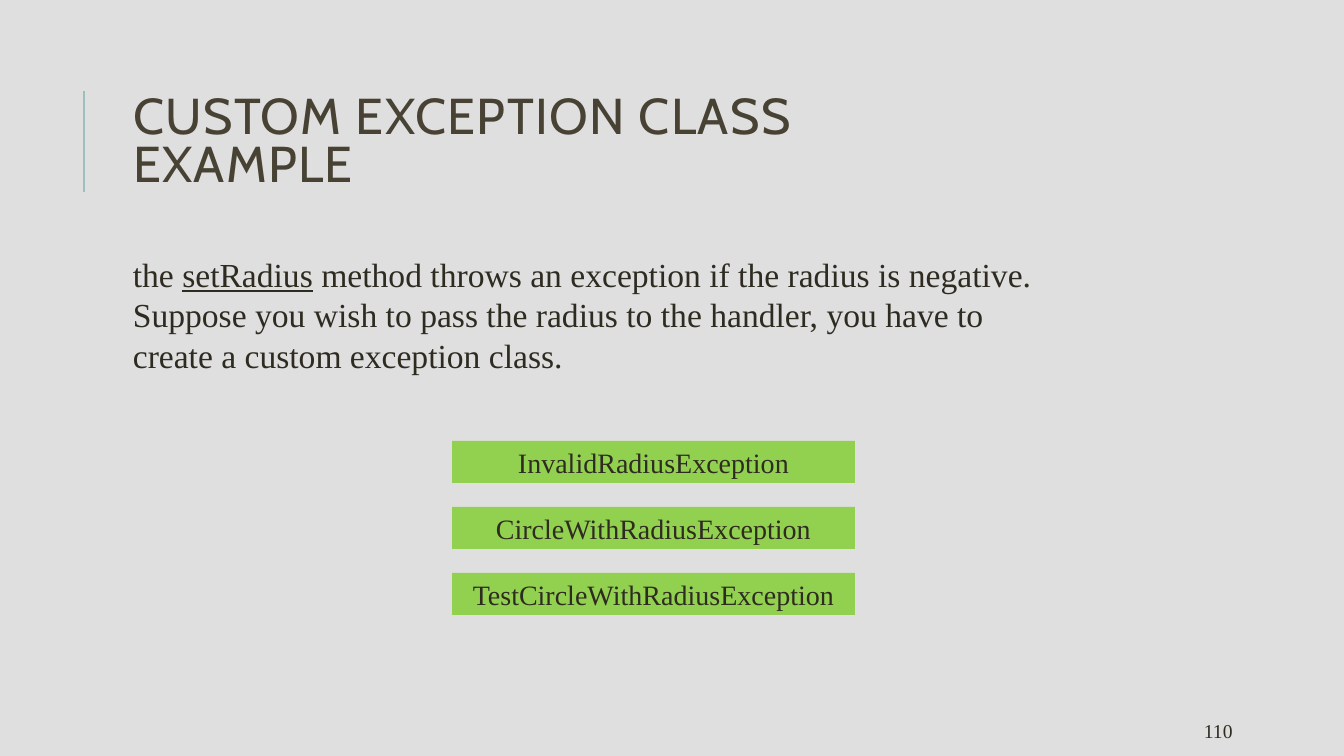
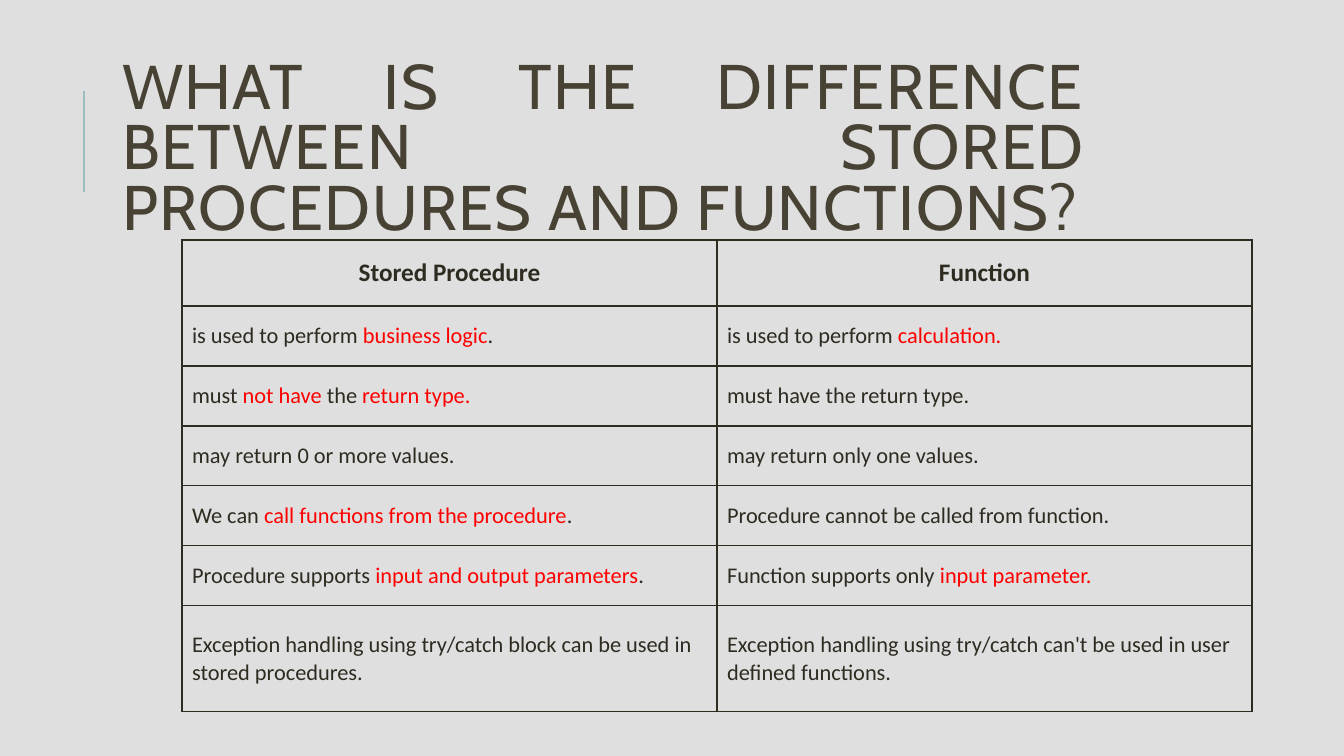
"""Two lesson slides: a custom exception class, and stored procedures versus functions."""
from dataclasses import dataclass

from lxml.etree import SubElement
from pptx import Presentation
from pptx.dml.color import RGBColor as Rgb
from pptx.enum.shapes import MSO_CONNECTOR as Connector, MSO_SHAPE as Preset
from pptx.enum.text import MSO_ANCHOR as Anchor, MSO_AUTO_SIZE as AutoSize, PP_ALIGN as Align
from pptx.oxml.ns import qn
from pptx.util import Emu, Pt

EMU_PER_PX = 914400 / 100.8
SLIDE_SIZE = (1344, 756)


@dataclass(frozen=True)
class Theme:
    """Colours, fonts and type sizes shared by the slides."""
    background: Rgb = Rgb(0xDF, 0xDF, 0xDF)
    accent: Rgb = Rgb(0x9C, 0xBE, 0xBD)
    heading: Rgb = Rgb(0x47, 0x42, 0x33)
    ink: Rgb = Rgb(0x2E, 0x2B, 0x21)
    emphasis: Rgb = Rgb(0xFF, 0x00, 0x00)
    label_fill: Rgb = Rgb(0x92, 0xD0, 0x50)
    heading_font: str = "Cabin"
    body_font: str = "Times New Roman"
    table_font: str = "Calibri"
    intro_size: int = 24
    label_size: int = 20
    number_size: int = 14
    header_size: int = 18
    cell_size: int = 16


THEME = Theme()

EXCEPTION_TITLE = "CUSTOM EXCEPTION CLASS EXAMPLE"
INTRO = (
    "the |setRadius| method throws an exception if the radius is negative. "
    "Suppose you wish to pass the radius to the handler, "
    "you have to create a custom exception class."
)
CLASS_NAMES = [
    "InvalidRadiusException",
    "CircleWithRadiusException",
    "TestCircleWithRadiusException",
]
PAGE_NUMBER = "110"

COMPARISON_TITLE = "WHAT IS THE DIFFERENCE BETWEEN STORED PROCEDURES AND FUNCTIONS?"
COMPARISON = [
    ("Stored Procedure", "Function"),
    ("is used to perform |business logic|.", "is used to perform |calculation.|"),
    ("must |not have |the |return type.|", "must have the return type."),
    ("may return 0 or more values.", "may return only one values."),
    ("We can |call functions from the procedure|.",
     "Procedure cannot be called from function."),
    ("Procedure supports |input and output parameters|.",
     "Function supports only |input parameter.|"),
    ("Exception handling using try/catch block can be used in stored procedures.",
     "Exception handling using try/catch can't be used in user defined functions."),
]

ACCENT_LINE = (84, 192, 84, 91)
EXCEPTION_TITLE_BOX = (123, 115, 899, 58)
COMPARISON_TITLE_BOX = (112, 81, 983, 141)
INTRO_BOX = (123, 249, 950, 132)
NUMBER_BOX = (1194, 714, 107, 30)
LABEL_LEFT, LABEL_TOP, LABEL_WIDTH, LABEL_HEIGHT, LABEL_PITCH = 452, 441, 403, 42, 66
TABLE_LEFT, TABLE_TOP, COLUMN_WIDTH = 182, 240, 535
HEADER_HEIGHT, ROW_HEIGHT, LAST_ROW_HEIGHT = 66, 60, 106


def px(*lengths):
    """Turn pixel lengths into EMU."""
    return [Emu(round(length * EMU_PER_PX)) for length in lengths]


def style(run, size, font, color=THEME.ink, bold=False):
    """Format one run."""
    run.font.size, run.font.name, run.font.bold = Pt(size), font, bold
    run.font.color.rgb = color


def write_marked(paragraph, text, size, font, mark):
    """Write text whose parts between bars receive the given mark."""
    for index, part in enumerate(text.split("|")):
        if part:
            run = paragraph.add_run()
            run.text = part
            style(run, size, font)
            if index % 2:
                mark(run)


def underline(run):
    """Underline a run."""
    run.font.underline = True


def emphasize(run):
    """Give a run the emphasis colour."""
    run.font.color.rgb = THEME.emphasis


def add_titled_slide(prs, text, box, size, alignment):
    """Add a slide with the accent line and a formatted title."""
    slide = prs.slides.add_slide(prs.slide_layouts[5])
    accent = slide.shapes.add_connector(Connector.STRAIGHT, *px(*ACCENT_LINE))
    accent.line.color.rgb, accent.line.width = THEME.accent, Pt(1.5)
    SubElement(accent.element.spPr, qn("a:effectLst"))

    title = slide.shapes.title
    title.left, title.top, title.width, title.height = px(*box)
    frame = title.text_frame
    frame.text = text
    frame.auto_size, frame.vertical_anchor = AutoSize.NONE, Anchor.MIDDLE
    paragraph = frame.paragraphs[0]
    paragraph.alignment, paragraph.line_spacing = alignment, 0.8
    run = paragraph.runs[0]
    style(run, size, THEME.heading_font, THEME.heading)
    run.font.element.set("spc", "100") if hasattr(run.font, "element") else \
        paragraph.runs[0]._r.get_or_add_rPr().set("spc", "100")
    return slide


def add_text(slide, box, text, size):
    """Add a wrapped text box in the body font."""
    frame = slide.shapes.add_textbox(*px(*box)).text_frame
    frame.word_wrap = True
    write_marked(frame.paragraphs[0], text, size, THEME.body_font, underline)


def add_label(slide, top, name):
    """Add one filled box holding a class name."""
    label = slide.shapes.add_shape(
        Preset.RECTANGLE, *px(LABEL_LEFT, top, LABEL_WIDTH, LABEL_HEIGHT))
    label.shadow.inherit = False
    label.fill.solid()
    label.fill.fore_color.rgb = THEME.label_fill
    label.line.fill.background()
    frame = label.text_frame
    frame.text, frame.vertical_anchor = name, Anchor.TOP
    frame.paragraphs[0].alignment = Align.CENTER
    style(frame.paragraphs[0].runs[0], THEME.label_size, THEME.body_font)


def add_borders(cell):
    """Draw a one point line on each side of a cell."""
    properties = cell._tc.get_or_add_tcPr()
    for index, side in enumerate(("lnL", "lnR", "lnT", "lnB")):
        border = properties.makeelement(qn(f"a:{side}"), {"w": str(Pt(1))})
        fill = SubElement(border, qn("a:solidFill"))
        SubElement(fill, qn("a:srgbClr"), val=str(THEME.ink))
        properties.insert(index, border)


def add_comparison(slide):
    """Add the bordered comparison table."""
    heights = [HEADER_HEIGHT] + [ROW_HEIGHT] * (len(COMPARISON) - 2) + [LAST_ROW_HEIGHT]
    columns = len(COMPARISON[0])
    table = slide.shapes.add_table(
        len(COMPARISON), columns,
        *px(TABLE_LEFT, TABLE_TOP, columns * COLUMN_WIDTH, sum(heights))).table
    table.first_row = table.horz_banding = False
    for column in table.columns:
        column.width = px(COLUMN_WIDTH)[0]
    for row_index, (row, height, texts) in enumerate(zip(table.rows, heights, COMPARISON)):
        row.height = px(height)[0]
        for cell, text in zip(row.cells, texts):
            cell.fill.background()
            cell.vertical_anchor = Anchor.MIDDLE
            add_borders(cell)
            paragraph = cell.text_frame.paragraphs[0]
            if row_index == 0:
                paragraph.text, paragraph.alignment = text, Align.CENTER
                style(paragraph.runs[0], THEME.header_size, THEME.table_font, bold=True)
            else:
                write_marked(paragraph, text, THEME.cell_size, THEME.table_font, emphasize)


def main():
    """Build and save the slides."""
    prs = Presentation()
    prs.slide_width, prs.slide_height = px(*SLIDE_SIZE)
    background = prs.slide_master.background.fill
    background.solid()
    background.fore_color.rgb = THEME.background

    exception = add_titled_slide(prs, EXCEPTION_TITLE, EXCEPTION_TITLE_BOX, 36, Align.LEFT)
    add_text(exception, NUMBER_BOX, PAGE_NUMBER, THEME.number_size)
    add_text(exception, INTRO_BOX, INTRO, THEME.intro_size)
    for index, name in enumerate(CLASS_NAMES):
        add_label(exception, LABEL_TOP + index * LABEL_PITCH, name)

    comparison = add_titled_slide(
        prs, COMPARISON_TITLE, COMPARISON_TITLE_BOX, 45, Align.JUSTIFY)
    add_comparison(comparison)
    prs.save("out.pptx")


if __name__ == "__main__":
    main()
